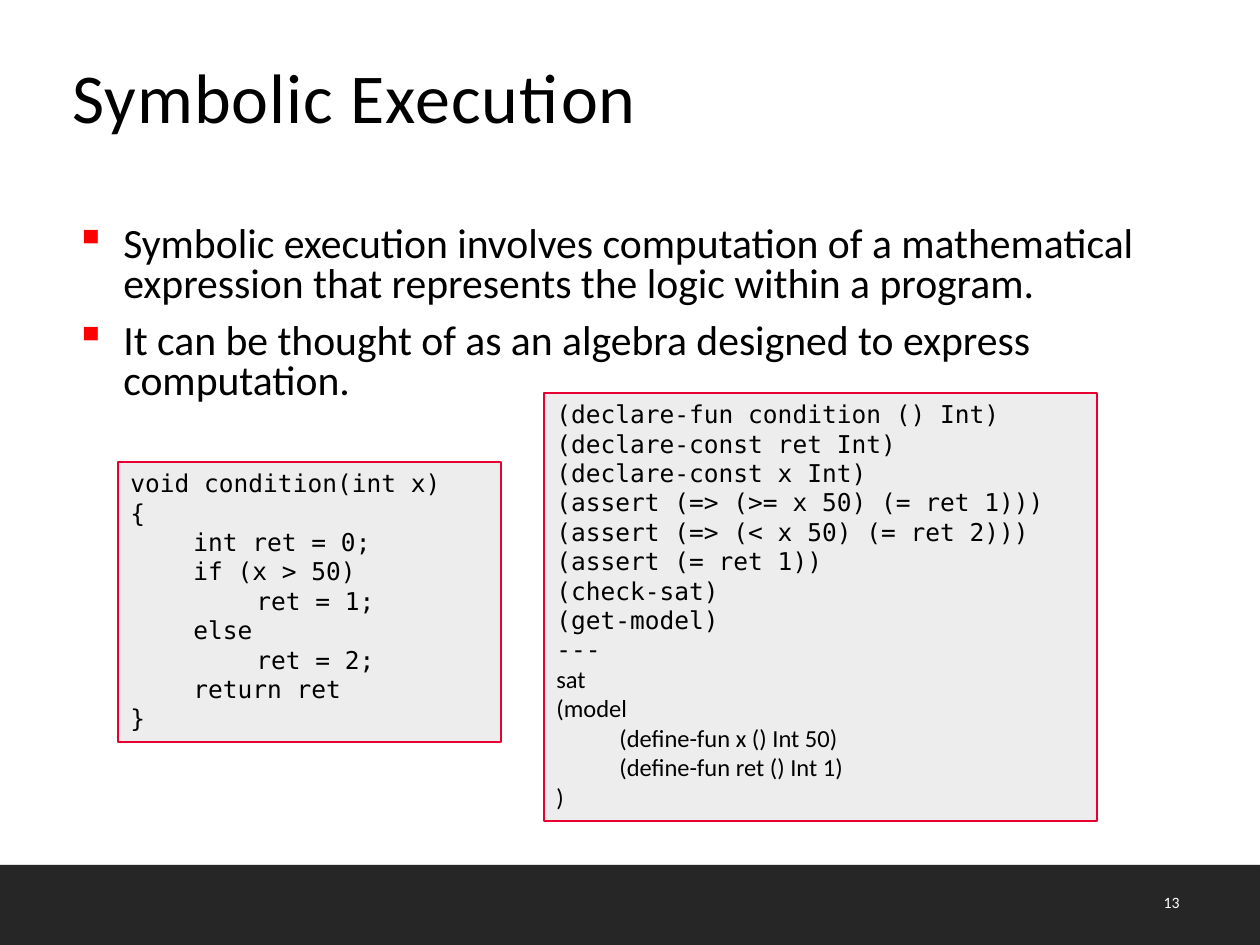
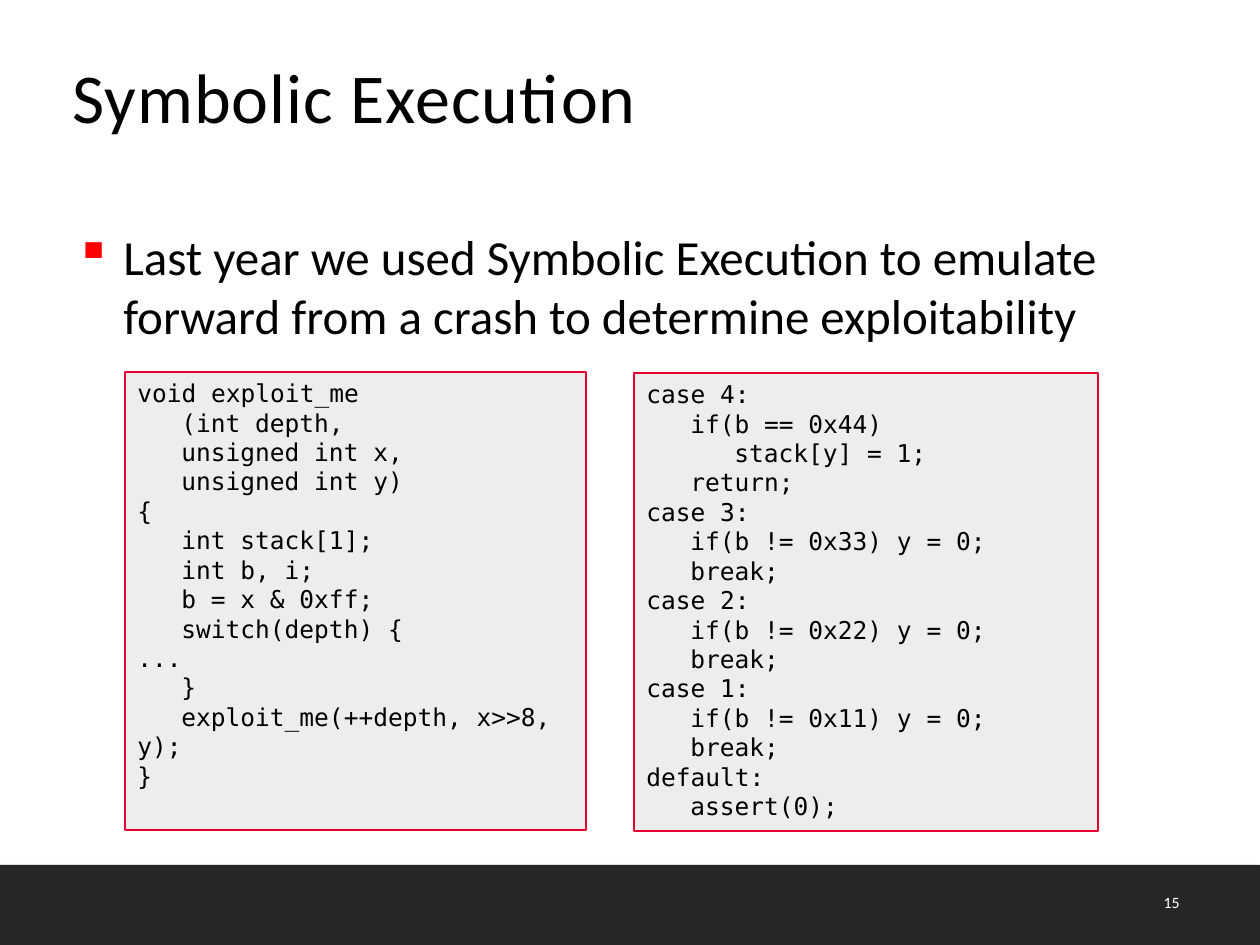
"""Build two slides on symbolic execution with code panels."""
from dataclasses import dataclass

from lxml import etree
from pptx import Presentation
from pptx import util as u
from pptx.dml.color import RGBColor
from pptx.enum import shapes, text
from pptx.oxml import parse_xml
from pptx.oxml.ns import nsdecls, qn


@dataclass(frozen=True)
class Theme:
    ink: str = "000000"
    paper: str = "FFFFFF"
    band: str = "262626"
    panel: str = "EDEDED"
    panel_line: str = "E70032"
    bullet: str = "FF0000"
    prose: str = "Calibri"
    mono: str = "DejaVu Sans Mono"
    title_size: float = 40
    code_size: float = 14
    number_size: float = 9


THEME = Theme()
EMU_PER_PX = 914400 / 126
TAB = 63
THREE_CHARACTERS = 44
HANGING = 48


def px(*lengths):
    return [u.Emu(round(length * EMU_PER_PX)) for length in lengths]


def write(frame, lines, size, font=THEME.prose, color=THEME.ink, align=text.PP_ALIGN.LEFT,
          anchor=text.MSO_ANCHOR.TOP, spacing=1.0, before=0, tracking=0, step=TAB, bullet=None):
    frame.word_wrap = True
    frame.vertical_anchor = anchor
    for line in lines:
        paragraph = frame.add_paragraph() if frame.text else frame.paragraphs[0]
        paragraph.alignment = align
        paragraph.line_spacing = spacing
        paragraph.space_before = u.Pt(before)
        run = paragraph.add_run()
        run.text = line.lstrip("\t")
        run.font.size = u.Pt(size)
        run.font.name = font
        run.font.color.rgb = RGBColor.from_string(color)
        if tracking:
            run.font._element.set("spc", str(tracking))
        properties = paragraph._p.get_or_add_pPr()
        margin, indent = px(HANGING, -HANGING) if bullet else px(0, line.count("\t") * step)
        properties.set("marL", str(margin))
        properties.set("indent", str(indent))
        if bullet:
            bullet_color = etree.SubElement(properties, qn("a:buClr"))
            etree.SubElement(bullet_color, qn("a:srgbClr"), val=THEME.bullet)
            etree.SubElement(properties, qn("a:buChar"), char=bullet)


symbolic_c = [
    "void condition(int x)",
    "{",
    "\tint ret = 0;",
    "\tif (x > 50)",
    "\t\tret = 1;",
    "\telse",
    "\t\tret = 2;",
    "\treturn ret",
    "}",
]
solver_input = [
    "(declare-fun condition () Int)",
    "(declare-const ret Int)",
    "(declare-const x Int)",
    "(assert (=> (>= x 50) (= ret 1)))",
    "(assert (=> (< x 50) (= ret 2)))",
    "(assert (= ret 1))",
    "(check-sat)",
    "(get-model)",
    "---",
]
solver_output = [
    "sat",
    "(model",
    "\t(define-fun x () Int 50)",
    "\t(define-fun ret () Int 1)",
    ")",
]
exploit_c = [
    "void exploit_me",
    "\t(int depth,",
    "\tunsigned int x,",
    "\tunsigned int y)",
    "{",
    "\tint stack[1];",
    "\tint b, i;",
    "\tb = x & 0xff;",
    "\tswitch(depth) {",
    "...",
    "\t}",
    "\texploit_me(++depth, x>>8, y);",
    "}",
]
switch_cases = ["case 4:", "\tif(b == 0x44)", "\t\tstack[y] = 1;", "\treturn;"]
for case in (3, 2, 1):
    switch_cases += [f"case {case}:", f"\tif(b != 0x{case}{case}) y = 0;", "\tbreak;"]
switch_cases += ["default:", "\tassert(0);"]

slides = [
    dict(
        number="13",
        bullets=[
            "Symbolic execution involves computation of a mathematical expression "
            "that represents the logic within a program.",
            "It can be thought of as an algebra designed to express computation.",
        ],
        bullet_size=23.8,
        bullet_spacing=0.8,
        step=TAB,
        panels=[
            ((118, 462, 383, 280), [(THEME.mono, symbolic_c)]),
            ((544, 393, 553, 428), [(THEME.mono, solver_input), (THEME.prose, solver_output)]),
        ],
    ),
    dict(
        number="15",
        bullets=[
            "Last year we used Symbolic Execution to emulate forward from a crash "
            "to determine exploitability",
        ],
        bullet_size=28,
        bullet_spacing=1.0,
        step=THREE_CHARACTERS,
        panels=[
            ((125, 372, 461, 458), [(THEME.mono, exploit_c)]),
            ((634, 373, 464, 458), [(THEME.mono, switch_cases)]),
        ],
    ),
]

presentation = Presentation()
presentation.slide_width, presentation.slide_height = px(1260, 945)

for content in slides:
    slide = presentation.slides.add_slide(presentation.slide_layouts[6])
    slide.background.fill.solid()
    slide.background.fill.fore_color.rgb = RGBColor.from_string(THEME.paper)

    band = slide.shapes.add_shape(shapes.MSO_SHAPE.RECTANGLE, *px(-1, 865, 1261, 80))
    band.fill.solid()
    band.fill.fore_color.rgb = RGBColor.from_string(THEME.band)
    band.line.fill.background()
    band._element.spPr.append(parse_xml(
        f'<a:effectLst {nsdecls("a")}><a:outerShdw blurRad="39370" dist="22860" dir="5400000">'
        f'<a:srgbClr val="{THEME.ink}"><a:alpha val="35000"/></a:srgbClr>'
        '</a:outerShdw></a:effectLst>'))

    number = slide.shapes.add_textbox(*px(1129, 887, 63, 39))
    write(number.text_frame, [content["number"]], THEME.number_size,
          color=THEME.paper, align=text.PP_ALIGN.RIGHT)

    body = slide.shapes.add_textbox(*px(63, 220, 1134, 624))
    write(body.text_frame, content["bullets"], content["bullet_size"],
          spacing=content["bullet_spacing"], before=10, bullet="▪")

    title = slide.shapes.add_textbox(*px(60, 43, 1134, 137))
    write(title.text_frame, ["Symbolic Execution"], THEME.title_size,
          anchor=text.MSO_ANCHOR.MIDDLE, spacing=u.Pt(30), tracking=60)

    for bounds, listings in content["panels"]:
        panel = slide.shapes.add_shape(shapes.MSO_SHAPE.RECTANGLE, *px(*bounds))
        panel.shadow.inherit = False
        panel.fill.solid()
        panel.fill.fore_color.rgb = RGBColor.from_string(THEME.panel)
        panel.line.color.rgb = RGBColor.from_string(THEME.panel_line)
        panel.line.width = u.Pt(0.75)
        for font, lines in listings:
            write(panel.text_frame, lines, THEME.code_size, font=font, step=content["step"])

presentation.save("out.pptx")
